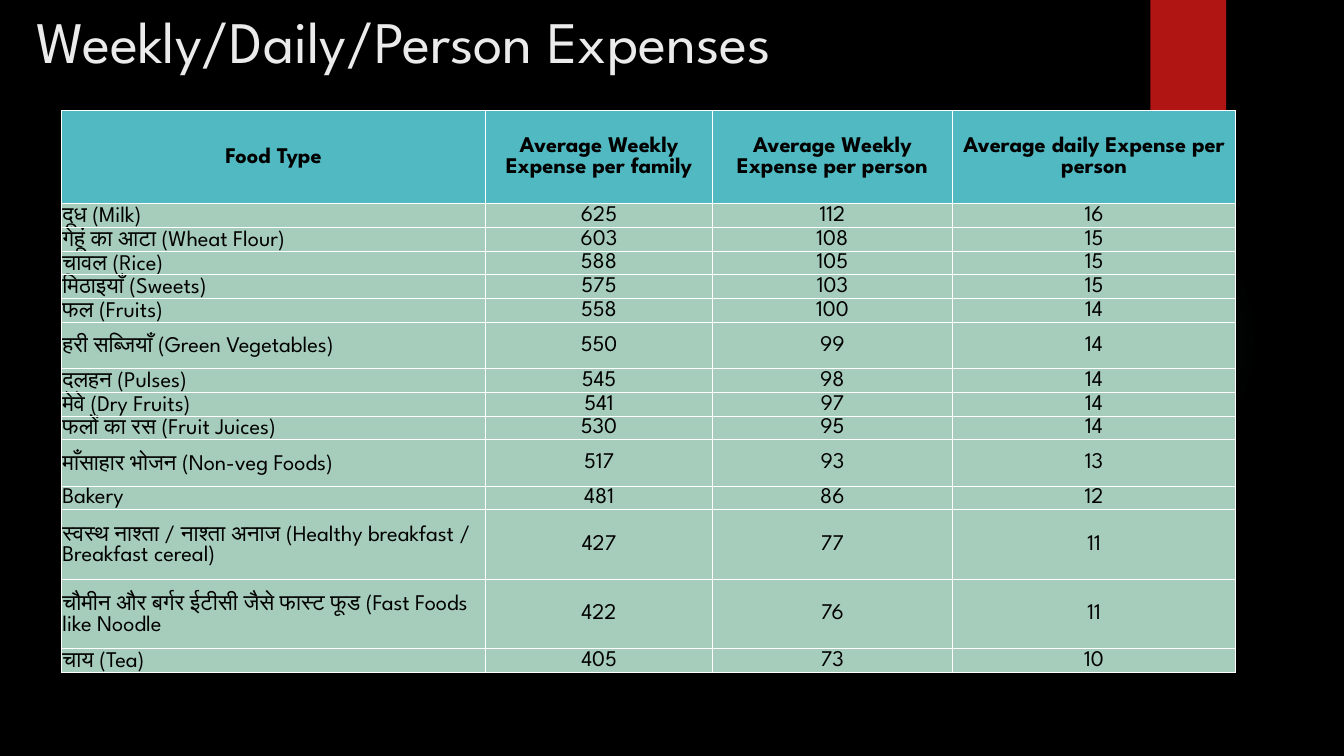
import dataclasses

import pptx
import pptx.dml.color
import pptx.enum.shapes
import pptx.enum.text
import pptx.oxml
import pptx.oxml.ns
import pptx.util

Pt = pptx.util.Pt
Shape = pptx.enum.shapes.MSO_SHAPE
Anchor = pptx.enum.text.MSO_ANCHOR
Align = pptx.enum.text.PP_ALIGN


@dataclasses.dataclass(frozen=True)
class Theme:
    font: str = "League Spartan"
    back: str = "000000"
    ink: str = "000000"
    title: str = "EBEBEB"
    ribbon: str = "B01513"
    teal: str = "50B9C1"
    mint: str = "A6CDBC"
    line: str = "FFFFFF"
    large: int = 42
    body: int = 16


HEADS = (
    "Food Type",
    "Average Weekly Expense per family",
    "Average Weekly Expense per person",
    "Average daily Expense per person",
)
FOODS = (
    ("दूध (Milk)", 625, 112, 16),
    ("गेहूं का आटा (Wheat Flour)", 603, 108, 15),
    ("चावल (Rice)", 588, 105, 15),
    ("मिठाइयाँ (Sweets)", 575, 103, 15),
    ("फल (Fruits)", 558, 100, 14),
    ("हरी सब्जियाँ (Green Vegetables)", 550, 99, 14),
    ("दलहन (Pulses)", 545, 98, 14),
    ("मेवे (Dry Fruits)", 541, 97, 14),
    ("फलों का रस (Fruit Juices)", 530, 95, 14),
    ("माँसाहार भोजन (Non-veg Foods)", 517, 93, 13),
    ("Bakery", 481, 86, 12),
    ("स्वस्थ नाश्ता / नाश्ता अनाज (Healthy breakfast / Breakfast cereal)", 427, 77, 11),
    ("चौमीन और बर्गर ईटीसी जैसे फास्ट फूड (Fast Foods like Noodle", 422, 76, 11),
    ("चाय (Tea)", 405, 73, 10),
)
WIDTHS = (303, 162, 171.4, 202.4)
UNIT = 16.6
SPANS = (4, 1, 1, 1, 1, 1, 2, 1, 1, 1, 2, 1, 3, 3, 1)


def tint(code):
    return pptx.dml.color.RGBColor.from_string(code)


def node(text):
    head, tail = text.split(">", 1)
    return pptx.oxml.parse_xml(f"{head} {pptx.oxml.ns.nsdecls('a')}>{tail}")


class Deck:
    def __init__(self, theme):
        self.theme = theme
        self.show = pptx.Presentation()
        self.show.slide_width, self.show.slide_height = Pt(960), Pt(540)
        self.slide = self.show.slides.add_slide(self.show.slide_layouts[5])
        fill = self.slide.background.fill
        fill.solid()
        fill.fore_color.rgb = tint(theme.back)

    def style(self, par, size, code, bold=False):
        par.font.name = self.theme.font
        par.font.size = Pt(size)
        par.font.bold = bold
        par.font.color.rgb = tint(code)

    def title(self, text, *area):
        box = self.slide.shapes.title
        box.left, box.top, box.width, box.height = map(Pt, area)
        frame = box.text_frame
        frame.text = text
        frame.word_wrap = True
        frame.vertical_anchor = Anchor.TOP
        par = frame.paragraphs[0]
        par.alignment = Align.LEFT
        self.style(par, self.theme.large, self.theme.title)

    def shape(self, kind, code, *area):
        item = self.slide.shapes.add_shape(kind, *map(Pt, area))
        item.shadow.inherit = False
        item.fill.solid()
        item.fill.fore_color.rgb = tint(code)
        item.line.fill.background()
        return item

    def glow(self, code, stops, *area):
        item = self.shape(Shape.OVAL, code, *area)
        marks = "".join(
            f'<a:gs pos="{pos * 1000}"><a:srgbClr val="{code}">'
            f'<a:alpha val="{alpha * 1000}"/></a:srgbClr></a:gs>'
            for pos, alpha in stops
        )
        fade = node(
            f'<a:gradFill><a:gsLst>{marks}</a:gsLst><a:path path="circle">'
            '<a:fillToRect l="50000" t="50000" r="50000" b="50000"/>'
            "</a:path></a:gradFill>"
        )
        props = item.element.spPr
        props.replace(props.find(pptx.oxml.ns.qn("a:solidFill")), fade)

    def cell(self, cell, text, head, align):
        props = cell._tc.get_or_add_tcPr()
        for side in "LRTB":
            props.append(node(
                f'<a:ln{side} w="{Pt(1)}"><a:solidFill>'
                f'<a:srgbClr val="{self.theme.line}"/></a:solidFill></a:ln{side}>'
            ))
        cell.fill.solid()
        cell.fill.fore_color.rgb = tint(self.theme.teal if head else self.theme.mint)
        cell.margin_left = cell.margin_right = cell.margin_top = Pt(0.7)
        cell.margin_bottom = 0
        cell.vertical_anchor = Anchor.MIDDLE
        cell.text = text
        par = cell.text_frame.paragraphs[0]
        par.alignment = align
        self.style(par, self.theme.body, self.theme.ink, head)

    def table(self, rows, left, top):
        grid = self.slide.shapes.add_table(
            len(rows), len(WIDTHS), Pt(left), Pt(top),
            Pt(sum(WIDTHS)), Pt(UNIT * sum(SPANS)),
        ).table
        for col, width in zip(grid.columns, WIDTHS):
            col.width = Pt(width)
        for row, span in zip(grid.rows, SPANS):
            row.height = Pt(UNIT * span)
        for r, row in enumerate(rows):
            for c, value in enumerate(row):
                align = Align.LEFT if r and not c else Align.CENTER
                self.cell(grid.cell(r, c), str(value), r == 0, align)


def main():
    theme = Theme()
    deck = Deck(theme)
    deck.glow(theme.teal, ((0, 7), (36, 6), (69, 0)), 677.5, 131.8, 221.8, 221.8)
    deck.shape(Shape.RECTANGLE, theme.ribbon, 821.8, 0, 54, 90)
    deck.title("Weekly/Daily/Person Expenses", 18.7, 0, 741, 110)
    deck.table((HEADS, *FOODS), 43.9, 79.2)
    deck.show.save("out.pptx")


if __name__ == "__main__":
    main()
